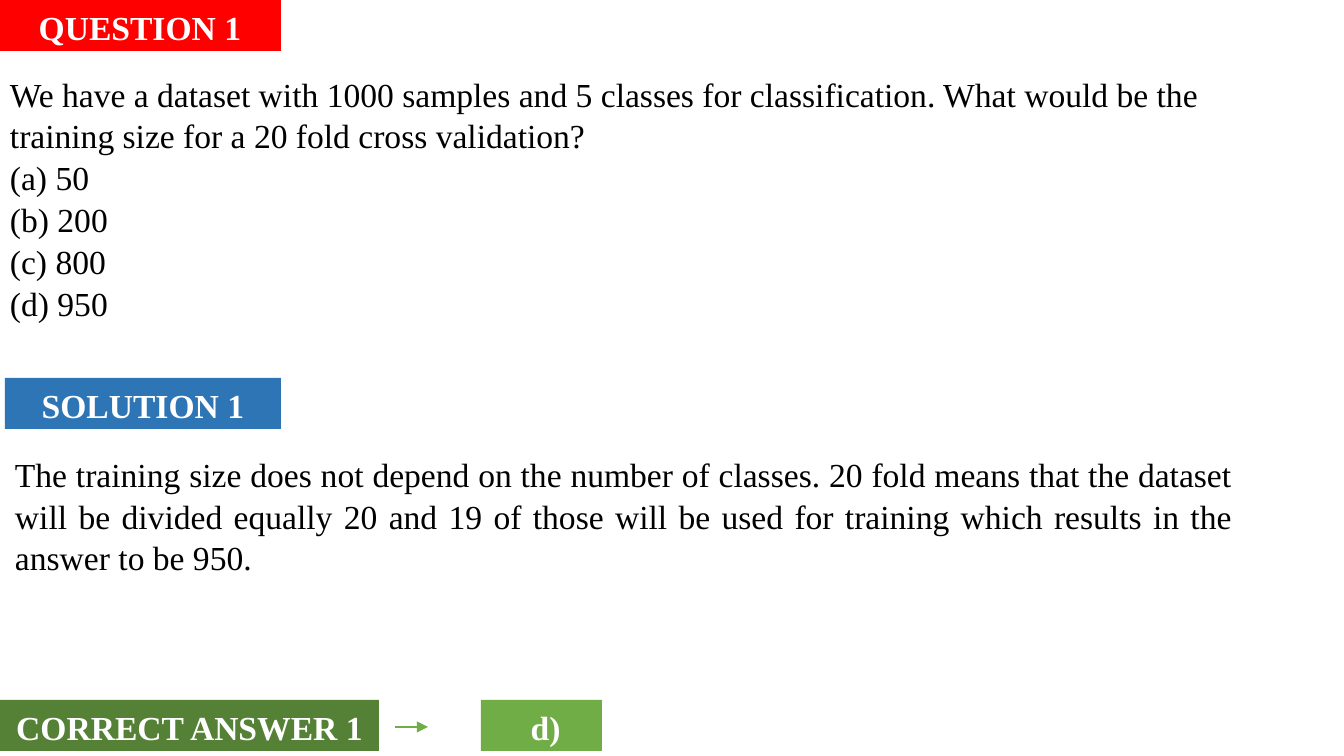
import pptx
import pptx.util
import pptx.dml.color
import pptx.enum.shapes
import pptx.enum.text
import pptx.oxml
import pptx.oxml.ns

RGBColor = pptx.dml.color.RGBColor
ALIGN = pptx.enum.text.PP_ALIGN

RED = RGBColor(0xFF, 0x00, 0x00)
BLUE = RGBColor(0x2E, 0x75, 0xB5)
DARK_GREEN = RGBColor(0x54, 0x81, 0x35)
GREEN = RGBColor(0x70, 0xAD, 0x47)
WHITE = RGBColor(0xFF, 0xFF, 0xFF)
BLACK = RGBColor(0x00, 0x00, 0x00)

PX = 914400 / 134.4
LABEL_HEIGHT = 51


def px(*lengths):
    return [pptx.util.Emu(round(n * PX)) for n in lengths]


def element(tag, attributes=""):
    return pptx.oxml.parse_xml(f'<{tag} {pptx.oxml.ns.nsdecls("a")} {attributes}/>')


class QuizSlide:
    font = "Times New Roman"
    size = pptx.util.Pt(18)
    spacing = 1.04

    def __init__(self, prs):
        self.s = prs.slides.add_slide(prs.slide_layouts[5])

    def set_text(self, sp, lines, color, bold, align):
        tf = sp.text_frame
        tf.word_wrap = True
        tf.auto_size = pptx.enum.text.MSO_AUTO_SIZE.NONE
        tf.vertical_anchor = pptx.enum.text.MSO_ANCHOR.TOP
        tf.margin_left, tf.margin_top, tf.margin_right, tf.margin_bottom = px(10, 5, 10, 5)
        for i, line in enumerate(lines):
            p = tf.add_paragraph() if i else tf.paragraphs[0]
            p.alignment = align
            p.line_spacing = self.spacing
            p.space_before = pptx.util.Pt(0)
            r = p.add_run()
            r.text = line
            r.font.name = self.font
            r.font.size = self.size
            r.font.bold = bold
            r.font.color.rgb = color

    def fill_label(self, sp, text, fill):
        sp.fill.solid()
        sp.fill.fore_color.rgb = fill
        sp.line.fill.background()
        self.set_text(sp, [text], WHITE, True, ALIGN.CENTER)

    def title(self, text, x, y, w, fill):
        sp = self.s.shapes.title
        sp.left, sp.top, sp.width, sp.height = px(x, y, w, LABEL_HEIGHT)
        self.fill_label(sp, text, fill)

    def label(self, text, x, y, w, fill):
        rectangle = pptx.enum.shapes.MSO_SHAPE.RECTANGLE
        sp = self.s.shapes.add_shape(rectangle, *px(x, y, w, LABEL_HEIGHT))
        sp.shadow.inherit = False
        self.fill_label(sp, text, fill)

    def body(self, lines, x, y, w, h, align=ALIGN.LEFT):
        sp = self.s.shapes.add_textbox(*px(x, y, w, h))
        self.set_text(sp, lines, BLACK, False, align)

    def arrow(self, x1, x2, y, color):
        straight = pptx.enum.shapes.MSO_CONNECTOR.STRAIGHT
        sp = self.s.shapes.add_connector(straight, *px(x1, y, x2, y))
        sp.line.color.rgb = color
        sp.line.width = pptx.util.Pt(1.5)
        spPr = sp._element.spPr
        ln = spPr.find(pptx.oxml.ns.qn("a:ln"))
        ln.append(element("a:tailEnd", 'type="triangle"'))
        spPr.append(element("a:effectLst"))


def main():
    prs = pptx.Presentation()
    prs.slide_width, prs.slide_height = px(1344, 756)
    quiz = QuizSlide(prs)

    quiz.title("QUESTION 1", -1, 0, 282, RED)
    quiz.body(
        [
            "We have a dataset with 1000 samples and 5 classes for classification. "
            "What would be the training size for a 20 fold cross validation?",
            "(a) 50",
            "(b) 200",
            "(c) 800",
            "(d) 950",
        ],
        0, 67, 1320, 254,
    )

    quiz.label("SOLUTION 1", 5, 378, 276, BLUE)
    quiz.body(
        [
            "The training size does not depend on the number of classes. "
            "20 fold means that the dataset will be divided equally 20 and 19 of those "
            "will be used for training which results in the answer to be 950."
        ],
        5, 447, 1238, 132, ALIGN.JUSTIFY,
    )

    quiz.label("CORRECT ANSWER 1", 0, 700, 379, DARK_GREEN)
    quiz.arrow(395, 428, 727, GREEN)
    quiz.label(" d)", 481, 700, 121, GREEN)

    prs.save("out.pptx")


if __name__ == "__main__":
    main()
